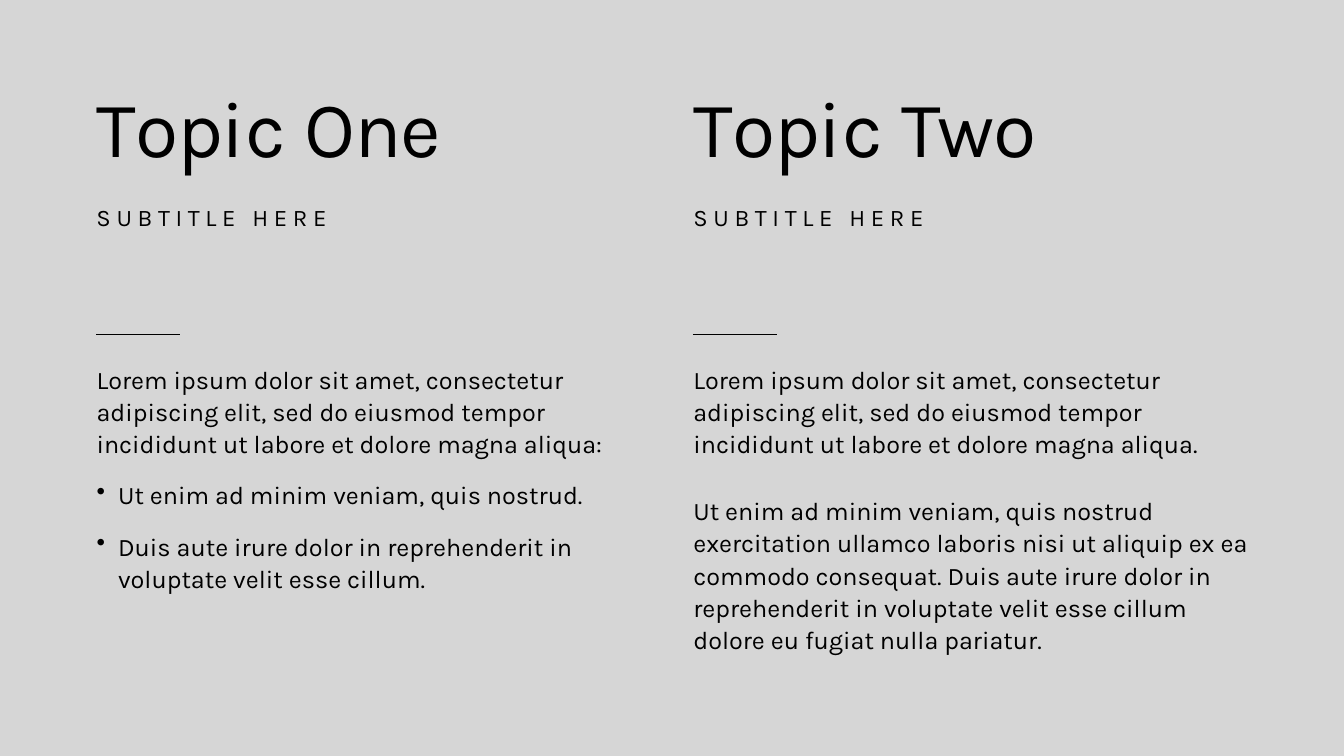
from dataclasses import dataclass

from lxml import etree
from pptx import Presentation
from pptx.dml.color import RGBColor
from pptx.enum.shapes import MSO_CONNECTOR
from pptx.oxml.ns import qn
from pptx.util import Pt

STRAIGHT = MSO_CONNECTOR.STRAIGHT
BLACK = RGBColor(0x00, 0x00, 0x00)
GREY = RGBColor(0xD6, 0xD6, 0xD6)
FONT = "Karla"

# Layout in points
COLUMN_LEFT, COLUMN_PITCH = 102.5, 639.5
HEADING_TOP, HEADING_HEIGHT = 82, 266
RULE_TOP, RULE_INSET, RULE_LENGTH = 358, 0.5, 89.5
BODY_TOP = 386
TEXT_INDENT = 0.9
BULLET_INDENT, BULLET_HANG = 24, 23


@dataclass
class Piece:
    text: str
    tracking: float = 0


@dataclass
class Block:
    text: str
    space_before: float = 0
    bullet: bool = False


@dataclass
class Topic:
    title: list[Piece]
    subtitle: str
    body: list[Block]
    heading_width: float
    body_width: float
    body_height: float


def topic_title(last_word: str) -> list[Piece]:
    return [Piece("T", -7.1), Piece("opi", -1.7), Piece("c ", -0.1), Piece(last_word, -1.4)]


LOREM = ("Lorem ipsum dolor sit amet, consectetur adipiscing elit, sed do "
         "eiusmod tempor incididunt ut labore et dolore magna aliqua")

TOPICS = [
    Topic(topic_title("One"), "SUBTITLE HERE", [
        Block(LOREM + ":"),
        Block("Ut enim ad minim veniam, quis nostrud.", 20, True),
        Block("Duis aute irure dolor in reprehenderit in voluptate velit "
              "esse cillum.", 20, True),
    ], 545, 589, 249),
    Topic(topic_title("Two"), "SUBTITLE HERE", [
        Block(LOREM + "."),
        Block("Ut enim ad minim veniam, quis nostrud exercitation ullamco "
              "laboris nisi ut aliquip ex ea commodo consequat. Duis aute "
              "irure dolor in reprehenderit in voluptate velit esse cillum "
              "dolore eu fugiat nulla pariatur.", 36.5),
    ], 590, 595.5, 316),
]


def add_frame(slide, left: float, top: float, width: float, height: float, inset_top: float):
    frame = slide.shapes.add_textbox(Pt(left), Pt(top), Pt(width), Pt(height)).text_frame
    frame.word_wrap = True
    frame.margin_left = frame.margin_right = frame.margin_bottom = 0
    frame.margin_top = Pt(inset_top)
    return frame


def next_paragraph(frame, first: bool, bullet: bool = False):
    paragraph = frame.paragraphs[0] if first else frame.add_paragraph()
    properties = paragraph._p.get_or_add_pPr()
    properties.set("marL", str(Pt(BULLET_INDENT if bullet else TEXT_INDENT)))
    if bullet:
        properties.set("indent", str(Pt(-BULLET_HANG)))
        etree.SubElement(properties, qn("a:buChar")).set("char", "•")
    return paragraph


def add_run(paragraph, piece: Piece, size: float) -> None:
    run = paragraph.add_run()
    run.text = piece.text
    run.font.name = FONT
    run.font.size = Pt(size)
    run.font.color.rgb = BLACK
    if piece.tracking:
        run._r.get_or_add_rPr().set("spc", str(round(piece.tracking * 100)))


def draw_heading(slide, topic: Topic, left: float) -> None:
    frame = add_frame(slide, left, HEADING_TOP, topic.heading_width, HEADING_HEIGHT, 2.7)
    title = next_paragraph(frame, first=True)
    for piece in topic.title:
        add_run(title, piece, 84.5)
    subtitle = next_paragraph(frame, first=False)
    subtitle.space_before = Pt(30.7)
    add_run(subtitle, Piece(topic.subtitle, 6), 25.5)


def draw_rule(slide, left: float) -> None:
    rule = slide.shapes.add_connector(
        STRAIGHT, Pt(left), Pt(RULE_TOP), Pt(left + RULE_LENGTH), Pt(RULE_TOP))
    rule.line.color.rgb = BLACK
    rule.line.width = Pt(1)
    etree.SubElement(rule._element.spPr, qn("a:effectLst"))


def draw_body(slide, topic: Topic, left: float) -> None:
    frame = add_frame(slide, left, BODY_TOP, topic.body_width, topic.body_height, 1.7)
    for index, block in enumerate(topic.body):
        paragraph = next_paragraph(frame, index == 0, block.bullet)
        paragraph.line_spacing = 1.07
        if block.space_before:
            paragraph.space_before = Pt(block.space_before)
        add_run(paragraph, Piece(block.text), 27)


def main() -> None:
    presentation = Presentation()
    presentation.slide_width, presentation.slide_height = Pt(1440), Pt(810)
    slide = presentation.slides.add_slide(presentation.slide_layouts[6])

    # Grey background
    slide.background.fill.solid()
    slide.background.fill.fore_color.rgb = GREY

    # One column per topic
    for column, topic in enumerate(TOPICS):
        left = COLUMN_LEFT + column * COLUMN_PITCH
        draw_heading(slide, topic, left)
        draw_rule(slide, left + RULE_INSET)
        draw_body(slide, topic, left)

    presentation.save("out.pptx")


if __name__ == "__main__":
    main()
